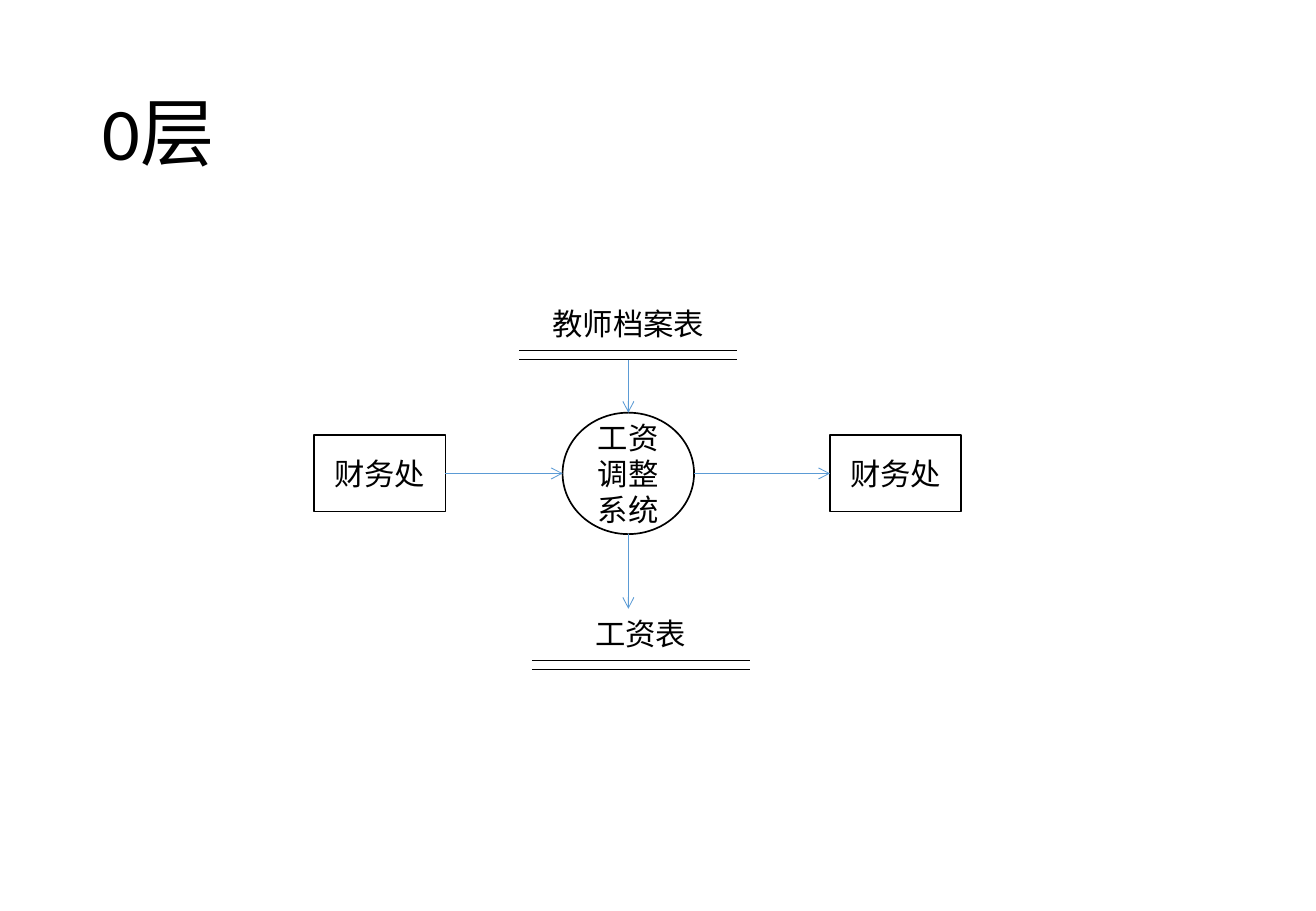
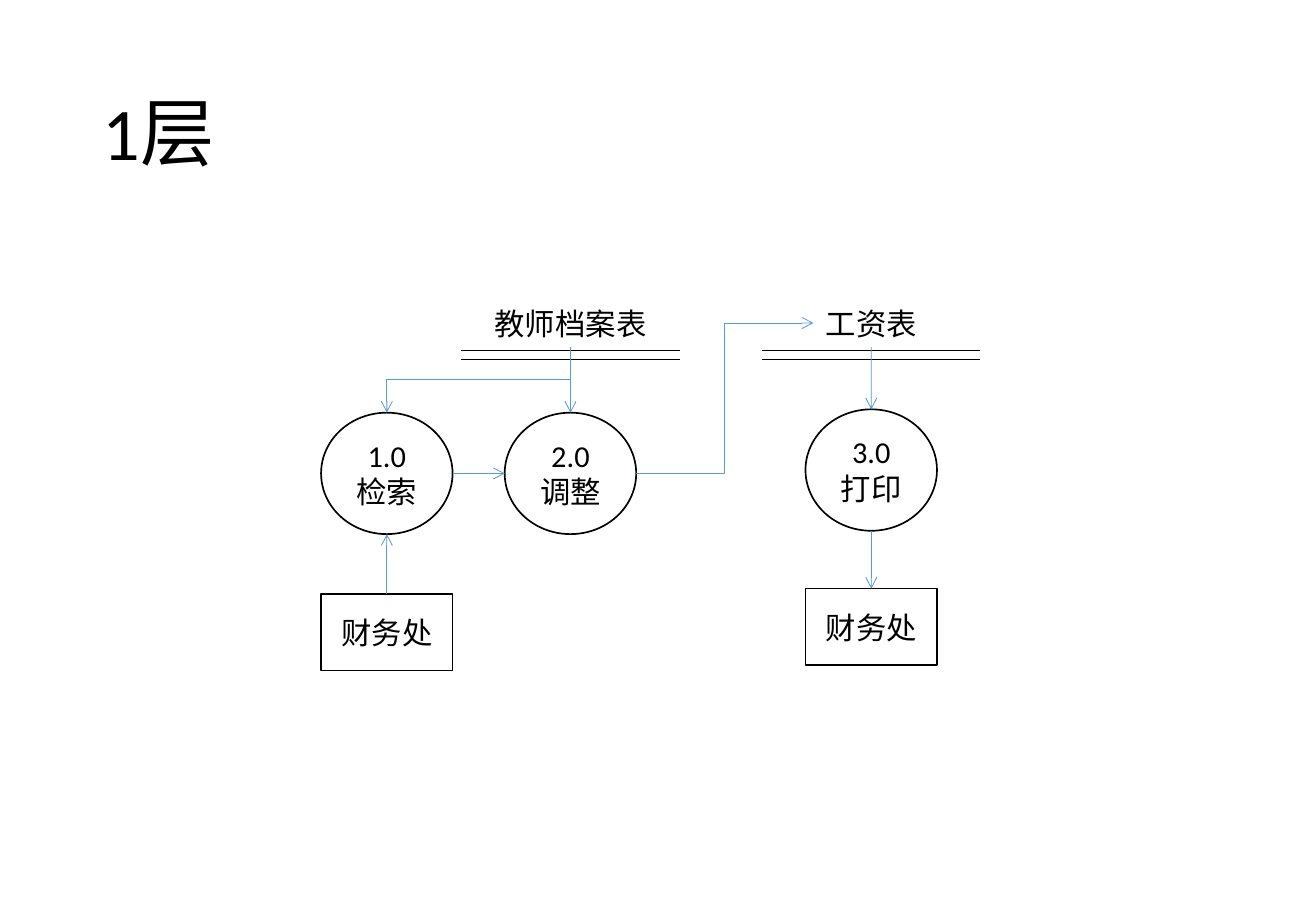
import pptx
import pptx.dml.color
import pptx.enum.shapes
import pptx.enum.text
import pptx.oxml
import pptx.oxml.ns
import pptx.util
from pptx.util import Cm

BLACK = pptx.dml.color.RGBColor(0x00, 0x00, 0x00)
WHITE = pptx.dml.color.RGBColor(0xFF, 0xFF, 0xFF)
BLUE = pptx.dml.color.RGBColor(0x5B, 0x9B, 0xD5)

FORM = pptx.enum.shapes.MSO_SHAPE
KIND = pptx.enum.shapes.MSO_SHAPE_TYPE
LINK = pptx.enum.shapes.MSO_CONNECTOR
ALIGN = pptx.enum.text.PP_ALIGN
MID = pptx.enum.text.MSO_ANCHOR.MIDDLE
FIT = pptx.enum.text.MSO_AUTO_SIZE

HEAD = {"name": "Calibri", "size": pptx.util.Pt(44), "bold": False}
BODY = {"name": "Calibri", "size": pptx.util.Pt(18), "bold": False}
LEAD = {"alignment": ALIGN.LEFT, "line_spacing": 0.9}
MIDST = {"alignment": ALIGN.CENTER}

TOP, LEFT, BASE, RIGHT = range(4)


def style(item, looks):
    for key, value in looks.items():
        setattr(item, key, value)


class Chart:
    """Draws data flow diagrams, one slide at a time."""

    def __init__(self):
        self.deck = pptx.Presentation()
        self.deck.slide_width = Cm(27.52)
        self.deck.slide_height = Cm(19.05)

    def page(self, title):
        slide = self.deck.slides.add_slide(self.deck.slide_layouts[5])
        self.shapes = slide.shapes
        head = self.shapes.title
        style(head, {"left": Cm(1.89), "top": Cm(1.01),
                     "width": Cm(23.73), "height": Cm(3.68)})
        style(head.text_frame, {"auto_size": FIT.NONE, "vertical_anchor": MID})
        self.label(head, title, HEAD, LEAD)

    def label(self, shape, text, looks=BODY, para=MIDST):
        shape.text_frame.text = text
        for line in shape.text_frame.paragraphs:
            style(line, para)
            style(line.font, looks)
            line.font.color.rgb = BLACK

    def node(self, form, x, y, wide, high, text):
        """Outlined shape centred on x, y."""
        shape = self.shapes.add_shape(form, Cm(x - wide / 2), Cm(y - high / 2),
                                      Cm(wide), Cm(high))
        shape.shadow.inherit = False
        shape.fill.solid()
        shape.fill.fore_color.rgb = WHITE
        shape.line.color.rgb = BLACK
        shape.line.width = pptx.util.Pt(1)
        shape.text_frame.vertical_anchor = MID
        self.label(shape, text)
        return shape

    def box(self, x, y, text):
        return self.node(FORM.RECTANGLE, x, y, 2.75, 1.6, text)

    def oval(self, x, y, text):
        return self.node(FORM.OVAL, x, y, 2.75, 2.54, text)

    def line(self, shapes, kind, start, end, color):
        link = shapes.add_connector(kind, *start, *end)
        link.line.color.rgb = color
        link.line.width = pptx.util.Pt(0.5)
        part = link._element.spPr
        part.append(part.makeelement(pptx.oxml.ns.qn("a:effectLst"), {}))
        return link

    def store(self, x, y, text):
        """Data store: name over a double rule; gives name and lower rule."""
        group = self.shapes.add_group_shape().shapes
        wide = 0.5 + 0.64 * len(text)
        name = group.add_textbox(Cm(x - wide / 2), Cm(y), Cm(wide), Cm(1.01))
        style(name.text_frame, {"word_wrap": False,
                                "auto_size": FIT.SHAPE_TO_FIT_TEXT})
        self.label(name, text)
        for gap in (1.07, 1.27):
            rule = self.line(group, LINK.STRAIGHT, (Cm(x - 2.28), Cm(y + gap)),
                             (Cm(x + 2.28), Cm(y + gap)), BLACK)
        return name, rule

    def spot(self, item, side):
        """Middle of a shape's side; a plain point passes through."""
        if isinstance(item, int):
            return item, side
        x, y = item.left + item.width // 2, item.top + item.height // 2
        return {TOP: (x, item.top), LEFT: (item.left, y),
                BASE: (x, item.top + item.height),
                RIGHT: (item.left + item.width, y)}[side]

    def tip(self, link):
        link._element.spPr.find(pptx.oxml.ns.qn("a:ln")).append(
            pptx.oxml.parse_xml('<a:tailEnd %s type="arrow"/>'
                                % pptx.oxml.ns.nsdecls("a")))

    def square(self, item):
        """True for a rectangle or text box, which arrows can join."""
        if isinstance(item, int):
            return False
        if item.shape_type == KIND.AUTO_SHAPE:
            return item.auto_shape_type == FORM.RECTANGLE
        return item.shape_type == KIND.TEXT_BOX

    def arrow(self, start, end):
        link = self.line(self.shapes, LINK.STRAIGHT, self.spot(*start),
                         self.spot(*end), BLUE)
        self.tip(link)
        if self.square(start[0]):
            link.begin_connect(*start)
        if self.square(end[0]):
            link.end_connect(*end)

    def bend(self, start, end, down=False):
        """Elbow arrow; down makes it leave vertically, by a quarter turn."""
        (ax, ay), (bx, by) = self.spot(*start), self.spot(*end)
        if down:
            x, y = (ax + bx) // 2, (ay + by) // 2
            ax, ay = x + ay - y, y - ax + x
            bx, by = 2 * x - ax, 2 * y - ay
        link = self.line(self.shapes, LINK.ELBOW, (ax, ay), (bx, by), BLUE)
        if down:
            link.rotation = 90
        self.tip(link)


def main():
    art = Chart()
    row, shelf = 9.9, 6.25

    # Level 0: the whole system
    art.page("0层")
    mid = 13.14
    source = art.box(7.94, row, "财务处")
    target = art.box(18.73, row, "财务处")
    pay = art.store(13.4, 12.73, "工资表")[0]
    core = art.oval(mid, row, "工资调整系统")
    rule = art.store(mid, shelf, "教师档案表")[1]
    art.arrow((source, RIGHT), (core, LEFT))
    art.arrow((core, RIGHT), (target, LEFT))
    art.arrow((rule, BASE), (core, TOP))
    art.arrow((core, BASE), (Cm(mid), pay.top))

    # Level 1: search, adjust, print
    art.page("1层")
    one, two, three = 8.09, 11.93, 18.22
    source = art.box(one, 13.22, "财务处")
    target = art.box(three, 13.11, "财务处")
    find = art.oval(one, row, "1.0\n检索")
    pay = art.store(three, shelf, "工资表")[0]
    tune = art.oval(two, row, "2.0\n调整")
    issue = art.oval(three, 9.83, "3.0\n打印")
    staff = art.store(two, shelf, "教师档案表")[0]
    art.arrow((source, TOP), (find, BASE))
    art.arrow((find, RIGHT), (tune, LEFT))
    art.bend((tune, RIGHT), (pay, LEFT))
    art.arrow((pay, BASE), (issue, TOP))
    art.arrow((issue, BASE), (target, TOP))
    art.bend((staff, BASE), (find, TOP), down=True)
    art.arrow((staff, BASE), (tune, TOP))

    art.deck.save("out.pptx")


if __name__ == "__main__":
    main()
